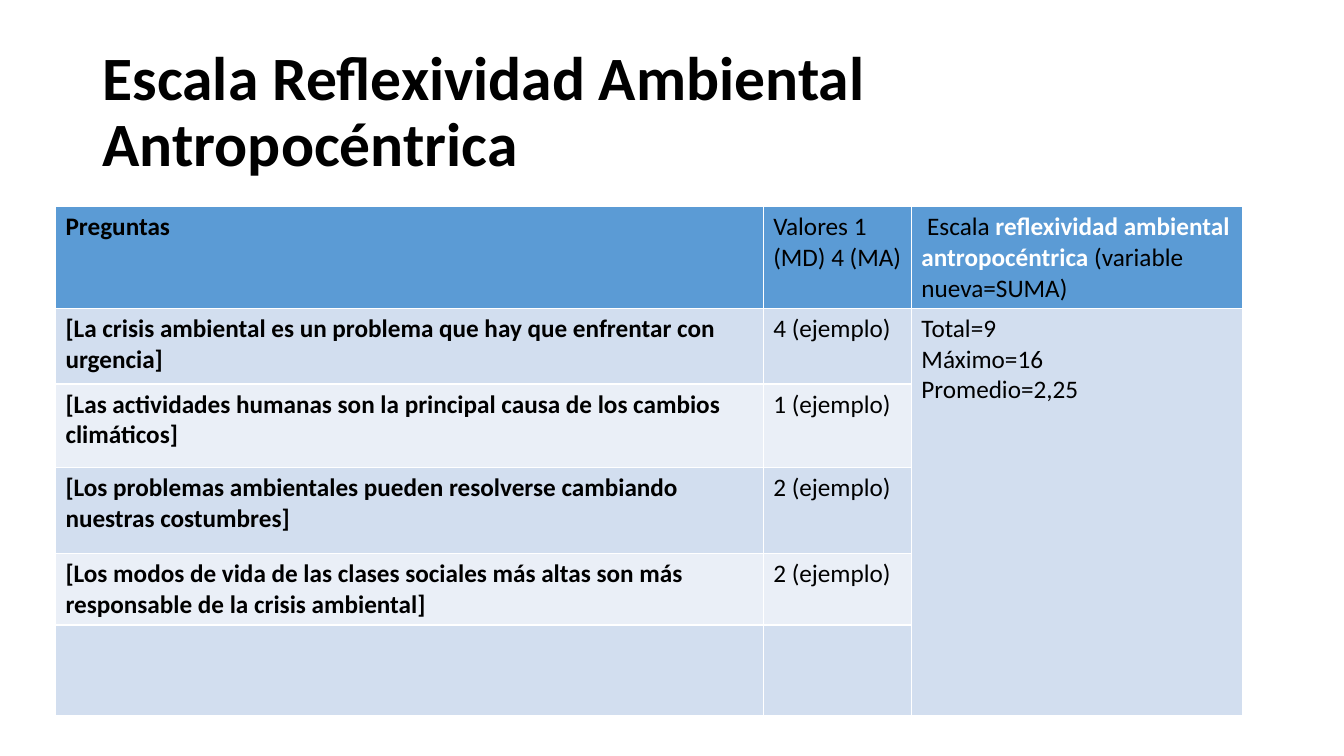
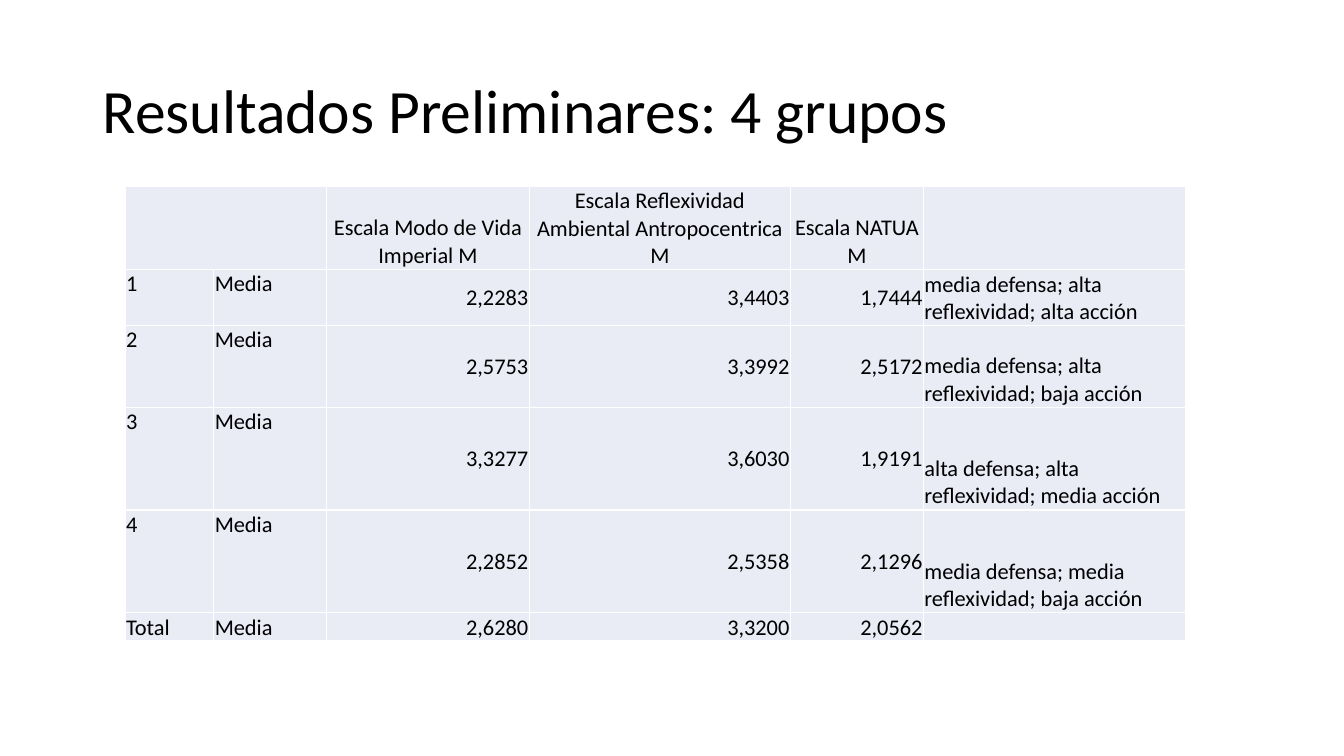
import dataclasses

import lxml.etree
import pptx
import pptx.dml.color
import pptx.enum.text
import pptx.oxml.ns
import pptx.util

Inches = pptx.util.Inches
Pt = pptx.util.Pt
RGB = pptx.dml.color.RGBColor.from_string
qn = pptx.oxml.ns.qn
Align = pptx.enum.text.PP_ALIGN
Anchor = pptx.enum.text.MSO_ANCHOR


@dataclasses.dataclass(frozen=True)
class Theme:
    font: str = "Calibri"
    text: str = "000000"
    light: str = "FFFFFF"
    header: str = "5B9BD5"
    band_dark: str = "D2DEEF"
    band_light: str = "EAEFF7"
    pale: str = "E9EBF5"
    title_size: int = 44
    body_size: int = 18
    data_size: int = 16
    border: int = 1


THEME = Theme()
BOLD = {"bold": True}
ACCENT = {"bold": True, "color": THEME.light}
TIGHT = {
    "margin_left": Inches(0.01),
    "margin_right": Inches(0.01),
    "margin_top": Inches(0.01),
    "margin_bottom": 0,
}


def apply(target, formats):
    for name, value in formats.items():
        setattr(target, name, value)


class Deck:
    def __init__(self, theme):
        self.theme = theme
        self.prs = pptx.Presentation()
        self.prs.slide_width = Inches(13.33)
        self.prs.slide_height = Inches(7.5)
        self.s = None

    def slide(self, title, bold=False):
        self.s = self.prs.slides.add_slide(self.prs.slide_layouts[6])
        sp = self.s.shapes.add_textbox(
            Inches(0.92), Inches(0.4), Inches(11.5), Inches(1.45))
        tf = sp.text_frame
        apply(tf, {"word_wrap": True, "vertical_anchor": Anchor.MIDDLE})
        p = tf.paragraphs[0]
        p.line_spacing = 0.9
        self.add_text(p, title, self.theme.title_size, {"bold": bold})

    def add_text(self, p, text, size, style):
        r = p.add_run()
        r.text = text
        formats = {"name": self.theme.font, "size": Pt(size), "bold": False}
        formats.update(style)
        r.font.color.rgb = RGB(formats.pop("color", self.theme.text))
        apply(r.font, formats)

    def add_paragraphs(self, tf, paragraphs, size, style, align):
        for i, runs in enumerate(paragraphs):
            p = tf.add_paragraph() if i else tf.paragraphs[0]
            p.alignment = align
            if isinstance(runs, str):
                runs = [(runs, style)]
            for text, run_style in runs:
                self.add_text(p, text, size, run_style)

    def borders(self, cell):
        tc_pr = cell._tc.get_or_add_tcPr()
        for i, side in enumerate(("lnL", "lnR", "lnT", "lnB")):
            ln = lxml.etree.Element(
                qn("a:" + side), w=str(int(Pt(self.theme.border))))
            fill = lxml.etree.SubElement(ln, qn("a:solidFill"))
            lxml.etree.SubElement(fill, qn("a:srgbClr"), val=self.theme.light)
            tc_pr.insert(i, ln)

    def table(self, left, top, cols, rows, cells, size, look, merge):
        tbl = self.s.shapes.add_table(
            len(rows), len(cols), Inches(left), Inches(top),
            Inches(sum(cols)), Inches(sum(rows))).table
        for column, width in zip(tbl.columns, cols):
            column.width = Inches(width)
        for row, height in zip(tbl.rows, rows):
            row.height = Inches(height)
        for r, line in enumerate(cells):
            for c, content in enumerate(line):
                cell = tbl.cell(r, c)
                fill, style, align, formats = look(r, c)
                cell.fill.solid()
                cell.fill.fore_color.rgb = RGB(fill)
                apply(cell, formats)
                self.borders(cell)
                if content:
                    paragraphs = [content] if isinstance(content, str) else content
                    self.add_paragraphs(cell.text_frame, paragraphs, size, style, align)
                else:
                    p = cell.text_frame.paragraphs[0]
                    lxml.etree.SubElement(
                        p._p, qn("a:endParaRPr"), sz=str(size * 100))
        start, end = merge
        tbl.cell(*start).merge(tbl.cell(*end))


def question_look(r, c):
    bands = (THEME.band_light, THEME.band_dark)
    fill = bands[r % 2] if r and c < 2 else THEME.band_dark
    style = BOLD if c == 0 else {}
    return fill if r else THEME.header, style, Align.LEFT, {}


def group_look(r, c):
    if r == 0:
        align, anchor = Align.CENTER, Anchor.BOTTOM
    elif c < 2:
        align, anchor = Align.LEFT, Anchor.TOP
    elif c < 5:
        align, anchor = Align.RIGHT, Anchor.MIDDLE
    else:
        align, anchor = Align.LEFT, Anchor.BOTTOM
    return THEME.pale, {}, align, {"vertical_anchor": anchor, **TIGHT}


def main():
    deck = Deck(THEME)

    deck.slide("Escala Reflexividad Ambiental Antropocéntrica", bold=True)
    scale = [[(" Escala ", {}), ("reflexividad ambiental antropocéntrica ", ACCENT),
              ("(variable nueva=SUMA)", {})]]
    questions = [
        ("Preguntas", ["Valores 1", "(MD) 4 (MA)"], scale),
        ("[La crisis ambiental es un problema que hay que enfrentar con urgencia]",
         "4 (ejemplo)", ["Total=9", "Máximo=16", "Promedio=2,25"]),
        ("[Las actividades humanas son la principal causa de los cambios climáticos]",
         "1 (ejemplo)", None),
        ("[Los problemas ambientales pueden resolverse cambiando nuestras costumbres]",
         "2 (ejemplo)", None),
        ("[Los modos de vida de las clases sociales más altas son más "
         "responsable de la crisis ambiental]", "2 (ejemplo)", None),
        (None, None, None),
    ]
    deck.table(0.55, 2.05, [7.02, 1.47, 3.28],
               [1.01, 0.75, 0.83, 0.85, 0.71, 0.9],
               questions, THEME.body_size, question_look, ((1, 2), (5, 2)))

    deck.slide("Resultados Preliminares: 4 grupos")
    groups = [
        (None, None, "Escala Modo de Vida Imperial M",
         "Escala Reflexividad Ambiental Antropocentrica M",
         "Escala NATUA M", None),
        ("1", "Media", "2,2283", "3,4403", "1,7444",
         "media defensa; alta reflexividad; alta acción"),
        ("2", "Media", "2,5753", "3,3992", "2,5172",
         "media defensa; alta reflexividad; baja acción"),
        ("3", "Media", "3,3277", "3,6030", "1,9191",
         "alta defensa; alta reflexividad; media acción"),
        ("4", "Media", "2,2852", "2,5358", "2,1296",
         "media defensa; media reflexividad; baja acción"),
        ("Total", "Media", "2,6280", "3,3200", "2,0562", None),
    ]
    deck.table(1.24, 1.85, [0.88, 1.12, 2.01, 2.59, 1.32, 2.6],
               [0.82, 0.56, 0.81, 1.02, 1.02, 0.28],
               groups, THEME.data_size, group_look, ((0, 0), (0, 1)))

    deck.prs.save("out.pptx")


if __name__ == "__main__":
    main()
